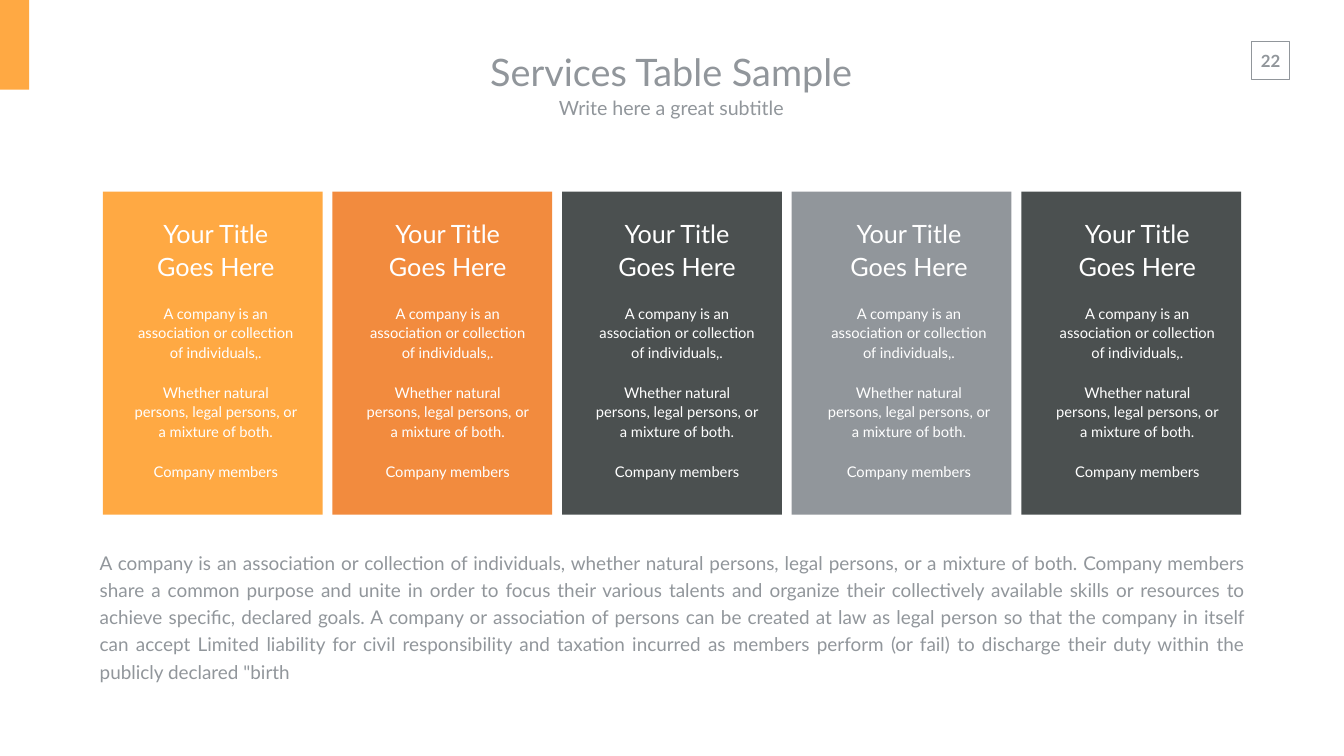
from dataclasses import dataclass

from pptx import Presentation
from pptx.dml.color import RGBColor
from pptx.enum import shapes, text
from pptx.util import Inches, Pt

FONT = "Lato"
COLORS = {
    "amber": "FFA943",
    "orange": "F28B3E",
    "dark": "4B5050",
    "gray": "91969B",
    "white": "FFFFFF",
}
CARD_LEFT, CARD_TOP, CARD_WIDTH, CARD_HEIGHT = 2.04, 3.8, 4.36, 6.41
CARD_PITCH = 4.555
CARD_TITLE = "Your Title Goes Here"
CARD_LINES = [
    "A company is an association or collection of individuals,.",
    "Whether natural persons, legal persons, or a mixture of both.",
    "Company members",
]
SUMMARY = (
    "A company is an association or collection of individuals, whether natural persons, "
    "legal persons, or a mixture of both. Company members share a common purpose and unite "
    "in order to focus their various talents and organize their collectively available "
    "skills or resources to achieve specific, declared goals. A company or association of "
    "persons can be created at law as legal person so that the company in itself can accept "
    "Limited liability for civil responsibility and taxation incurred as members perform "
    "(or fail) to discharge their duty within the publicly declared \"birth"
)


@dataclass
class Box:
    left: float
    top: float
    width: float
    height: float

    def lengths(self) -> list[int]:
        return [Inches(v) for v in (self.left, self.top, self.width, self.height)]


@dataclass
class Line:
    wording: str
    size: float
    color: str = "gray"
    bold: bool = False
    align: text.PP_ALIGN = text.PP_ALIGN.CENTER
    spacing: float = 1.0
    before: float = 0


@dataclass
class Card:
    color: str
    text_left: float


CARDS = [
    Card("amber", 2.47),
    Card("orange", 7.07),
    Card("dark", 11.62),
    Card("gray", 16.22),
    Card("dark", 20.75),
]


def rgb(name: str) -> RGBColor:
    return RGBColor.from_string(COLORS[name])


def add_rect(s, box: Box, fill: str | None = None, line: str | None = None) -> None:
    sp = s.shapes.add_shape(shapes.MSO_SHAPE.RECTANGLE, *box.lengths())
    sp.shadow.inherit = False
    if fill:
        sp.fill.solid()
        sp.fill.fore_color.rgb = rgb(fill)
    else:
        sp.fill.background()
    if line:
        sp.line.color.rgb = rgb(line)
        sp.line.width = Pt(1)
    else:
        sp.line.fill.background()


def add_text(s, box: Box, lines: list[Line],
             insets: tuple[float, float, float, float] = (0.1, 0.05, 0.1, 0.05),
             anchor: text.MSO_ANCHOR = text.MSO_ANCHOR.TOP,
             wrap: bool = True) -> None:
    """Insets are left, top, right and bottom, in inches."""
    tf = s.shapes.add_textbox(*box.lengths()).text_frame
    tf.word_wrap = wrap
    tf.vertical_anchor = anchor
    tf.margin_left, tf.margin_top, tf.margin_right, tf.margin_bottom = map(Inches, insets)
    for i, line in enumerate(lines):
        p = tf.add_paragraph() if i else tf.paragraphs[0]
        p.text = line.wording
        p.alignment = line.align
        p.line_spacing = line.spacing
        p.space_before = Pt(line.before)
        p.font.name = FONT
        p.font.size = Pt(line.size)
        p.font.bold = line.bold
        p.font.color.rgb = rgb(line.color)


def add_card(s, index: int, card: Card) -> None:
    left = CARD_LEFT + index * CARD_PITCH
    add_rect(s, Box(left, CARD_TOP, CARD_WIDTH, CARD_HEIGHT), fill=card.color)
    lines = [Line(CARD_TITLE, 36, "white", spacing=1.1)]
    lines += [Line(t, 21, "white", spacing=1.1, before=30) for t in CARD_LINES]
    add_text(s, Box(card.text_left, 4.1, 3.42, 5.61), lines,
             insets=(0.2, 0, 0, 0), anchor=text.MSO_ANCHOR.MIDDLE)


def main() -> None:
    prs = Presentation()
    prs.slide_width, prs.slide_height = Inches(26.66), Inches(15)
    s = prs.slides.add_slide(prs.slide_layouts[6])

    add_text(s, Box(24.8, 0.9, 0.81, 0.61), [Line("22", 24, bold=True)],
             insets=(0.2, 0.1, 0.2, 0.1), wrap=False)
    add_rect(s, Box(24.83, 0.82, 0.75, 0.75), line="gray")
    add_rect(s, Box(0, 0, 0.58, 1.78), fill="amber")

    headings = [
        (Box(8.15, 0.83, 10.33, 1.18), Line("Services Table Sample", 54)),
        (Box(8.15, 1.76, 10.33, 0.74), Line("Write here a great subtitle", 28)),
    ]
    for box, line in headings:
        add_text(s, box, [line], insets=(0.27, 0.13, 0.27, 0.13),
                 anchor=text.MSO_ANCHOR.MIDDLE)

    for index, card in enumerate(CARDS):
        add_card(s, index, card)

    add_text(s, Box(1.88, 10.8, 22.9, 2.27),
             [Line(SUMMARY, 27, align=text.PP_ALIGN.JUSTIFY, spacing=1.2)])

    prs.save("out.pptx")


if __name__ == "__main__":
    main()
